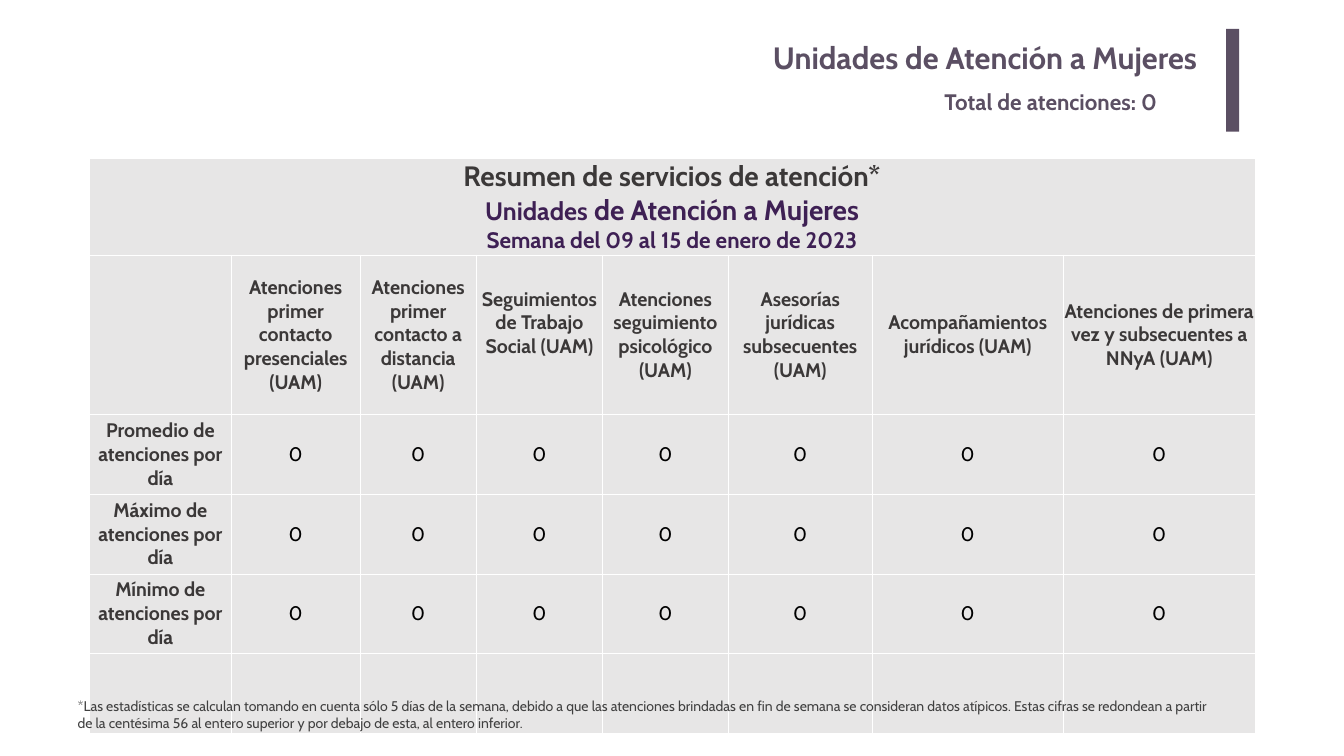
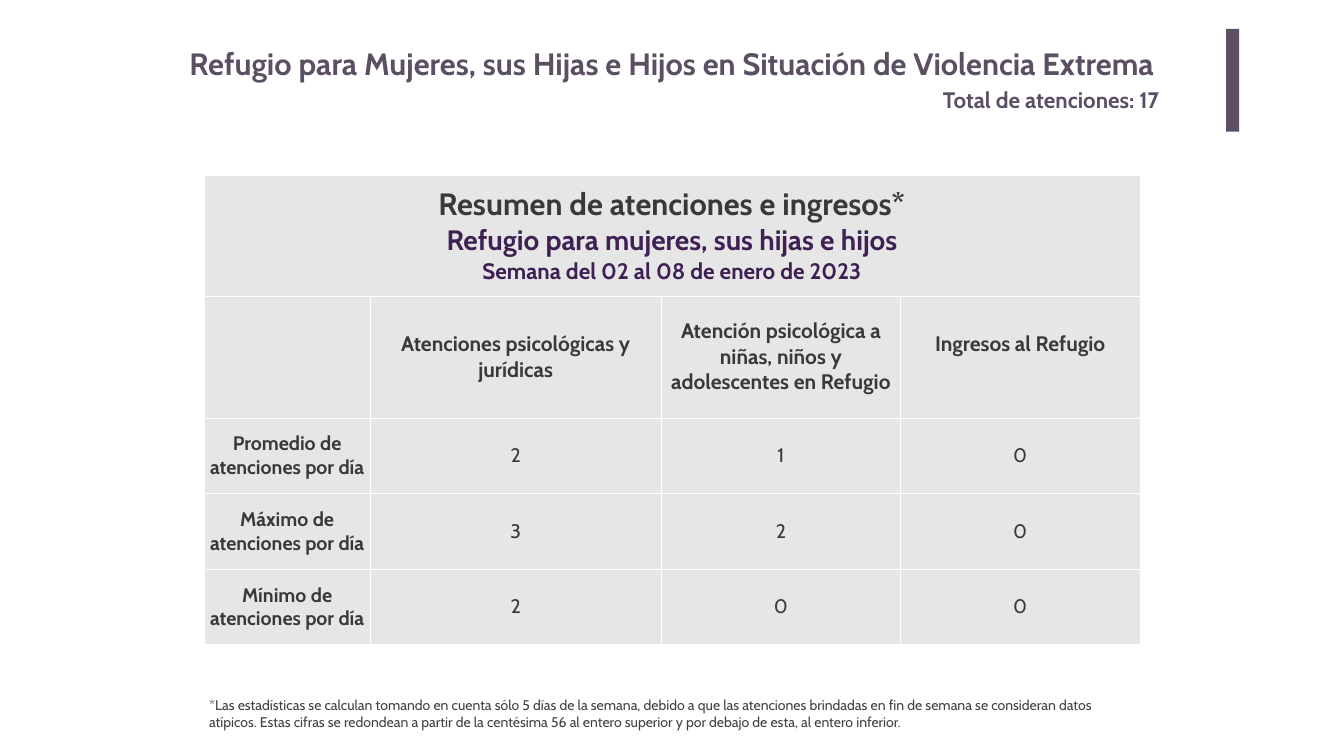
from dataclasses import dataclass
from typing import Any, NamedTuple

from lxml.etree import SubElement
from pptx import Presentation
from pptx.dml.color import RGBColor
from pptx.enum.shapes import MSO_SHAPE as Shape
from pptx.enum.text import MSO_ANCHOR as Anchor, MSO_AUTO_SIZE as AutoSize, PP_ALIGN as Align
from pptx.oxml.ns import qn
from pptx.util import Cm, Pt

FONT = "Cabin"
PLUM, VIOLET, DARK, GREY = "5B4F63", "3E2054", "3B3838", "404040"
BLACK, WHITE, CELL = "000000", "FFFFFF", "E7E6E6"
NOTE = (
    "*Las estadísticas se calculan tomando en cuenta sólo 5 días de la semana, debido a que "
    "las atenciones brindadas en fin de semana se consideran datos atípicos. Estas cifras se "
    "redondean a partir de la centésima 56 al entero superior y por debajo de esta, al entero "
    "inferior."
)
MEASURES = ("Promedio", "Máximo", "Mínimo")
ROW_LABEL = "{} de atenciones por día"


class Box(NamedTuple):
    """Left, top, width and height in centimetres."""

    left: float
    top: float
    width: float
    height: float

    def lengths(self) -> list[Cm]:
        """Return the four values as lengths."""
        return [Cm(v) for v in self]


class Run(NamedTuple):
    """A piece of text with its size in points, colour and weight."""

    text: str
    size: float
    color: str
    bold: bool = True


class Header(NamedTuple):
    """A column heading, its width and the free space kept below it."""

    text: str
    width: float
    below: float = 0


@dataclass
class Text:
    """A text box with one run."""

    box: Box
    run: Run
    align: Align = Align.LEFT
    margins: tuple[float, float] = (0.25, 0.13)
    grow: bool = True


@dataclass
class Summary:
    """A summary table of daily figures."""

    left: float
    top: float
    heading: list[list[Run]]
    headers: list[Header]
    heights: list[float]
    values: list[list[int]]
    header_size: float
    value_color: str
    label_width: float


@dataclass
class Page:
    """The content of one slide."""

    title: Text
    total: Text
    summary: Summary
    note_box: Box


PAGES = [
    Page(
        title=Text(Box(9.3, 1.7, 51.56, 2.59), Run("Unidades de Atención a Mujeres", 44, PLUM),
                   Align.RIGHT, (0.51, 0.25), False),
        total=Text(Box(47.35, 4.29, 13.67, 1.63), Run("Total de atenciones: 0", 32, PLUM)),
        summary=Summary(
            left=4.5,
            top=8,
            heading=[
                [Run("Resumen de servicios de atención*", 40, DARK)],
                [Run("Unidades", 36, VIOLET), Run(" de Atención a Mujeres", 40, VIOLET)],
                [Run("Semana del 09 al 15 de enero de 2023", 32, VIOLET)],
            ],
            headers=[
                Header("Atenciones primer contacto presenciales (UAM)", 6.48),
                Header("Atenciones primer contacto a distancia (UAM)", 5.87),
                Header("Seguimientos de Trabajo Social (UAM)", 6.35, 1.2),
                Header("Atenciones seguimiento psicológico (UAM)", 6.35),
                Header("Asesorías jurídicas subsecuentes (UAM)", 7.24),
                Header("Acompañamientos jurídicos (UAM)", 9.65),
                Header("Atenciones de primera vez y subsecuentes a NNyA (UAM)", 9.65),
            ],
            heights=[4.85, 8.05] + [4.01] * 4,
            values=[[0] * 7 for _ in MEASURES],
            header_size=28,
            value_color=BLACK,
            label_width=7.16,
        ),
        note_box=Box(3.66, 35.03, 57.84, 1.96),
    ),
    Page(
        title=Text(Box(9.3, 2.13, 52.65, 2.13),
                   Run("Refugio para Mujeres, sus Hijas e Hijos en Situación de Violencia Extrema",
                       44, PLUM)),
        total=Text(Box(47.27, 4.19, 13.59, 1.63), Run("Total de atenciones: 17", 32, PLUM)),
        summary=Summary(
            left=10.29,
            top=8.87 - 0.06,
            heading=[
                [Run("Resumen de atenciones e ingresos*", 44, DARK)],
                [Run("Refugio para mujeres, sus hijas e hijos", 40, VIOLET)],
                [Run("Semana del 02 al 08 de enero de 2023", 32, VIOLET)],
            ],
            headers=[
                Header("Atenciones psicológicas y jurídicas", 14.68),
                Header("Atención psicológica a niñas, niños y adolescentes en Refugio", 12.06),
                Header("Ingresos al Refugio", 12.06, 1.3),
            ],
            heights=[6.1, 6.15] + [3.81] * 3,
            values=[[2, 1, 0], [3, 2, 0], [2, 0, 0]],
            header_size=30,
            value_color=DARK,
            label_width=8.36,
        ),
        note_box=Box(10.29, 34.98, 47.14, 1.96),
    ),
]


def rgb(color: str) -> RGBColor:
    """Turn a hex string into a colour."""
    return RGBColor.from_string(color)


def apply(target: Any, values: dict[str, Any]) -> None:
    """Set each named attribute on the target."""
    for name, value in values.items():
        setattr(target, name, value)


def write(p: Any, runs: list[Run], align: Align) -> None:
    """Fill a paragraph with formatted runs."""
    p.alignment = align
    for item in runs:
        r = p.add_run()
        r.text = item.text
        apply(r.font, {"name": FONT, "size": Pt(item.size), "bold": item.bold})
        r.font.color.rgb = rgb(item.color)


def add_text(s: Any, text: Text) -> None:
    """Add a text box."""
    tf = s.shapes.add_textbox(*text.box.lengths()).text_frame
    across, down = (Cm(v) for v in text.margins)
    apply(tf, {
        "word_wrap": True,
        "auto_size": AutoSize.SHAPE_TO_FIT_TEXT if text.grow else AutoSize.NONE,
        "margin_left": across, "margin_right": across,
        "margin_top": down, "margin_bottom": down,
    })
    write(tf.paragraphs[0], [text.run], text.align)


def add_bar(s: Any) -> None:
    """Add the vertical bar beside the title."""
    sp = s.shapes.add_shape(Shape.RECTANGLE, *Box(61.8, 1.45, 0.66, 5.18).lengths())
    sp.shadow.inherit = False
    sp.fill.solid()
    sp.fill.fore_color.rgb = rgb(PLUM)
    sp.line.fill.background()


def style_cell(cell: Any) -> None:
    """Give a cell its margins, white borders and grey fill."""
    apply(cell, {"vertical_anchor": Anchor.MIDDLE, "margin_left": 0, "margin_right": 0,
                 "margin_top": 0, "margin_bottom": 0})
    props = cell._tc.get_or_add_tcPr()
    for side in ("lnL", "lnR", "lnT", "lnB"):
        line = SubElement(props, qn(f"a:{side}"), w=str(Pt(1)))
        SubElement(SubElement(line, qn("a:solidFill")), qn("a:srgbClr"), val=WHITE)
    cell.fill.solid()
    cell.fill.fore_color.rgb = rgb(CELL)


def fill_cell(cell: Any, lines: list[list[Run]]) -> None:
    """Write centred lines in a cell."""
    tf = cell.text_frame
    for i, runs in enumerate(lines):
        write(tf.add_paragraph() if i else tf.paragraphs[0], runs, Align.CENTER)


def add_summary(s: Any, data: Summary) -> None:
    """Add the table of daily figures."""
    widths = [data.label_width] + [h.width for h in data.headers]
    box = Box(data.left, data.top, sum(widths), sum(data.heights))
    table = s.shapes.add_table(len(data.heights), len(widths), *box.lengths()).table
    apply(table, {"first_row": False, "horz_banding": False})
    for column, width in zip(table.columns, widths):
        column.width = Cm(width)
    for row, height in zip(table.rows, data.heights):
        row.height = Cm(height)
    for cell in table.iter_cells():
        style_cell(cell)

    table.cell(0, 0).merge(table.cell(0, len(widths) - 1))
    fill_cell(table.cell(0, 0), data.heading)
    for c, header in enumerate(data.headers, 1):
        cell = table.cell(1, c)
        fill_cell(cell, [[Run(header.text, data.header_size, DARK)]])
        cell.margin_bottom = Cm(header.below)
    for r, (measure, values) in enumerate(zip(MEASURES, data.values), 2):
        fill_cell(table.cell(r, 0), [[Run(ROW_LABEL.format(measure), 28, DARK)]])
        for c, value in enumerate(values, 1):
            fill_cell(table.cell(r, c), [[Run(str(value), 28, data.value_color, False)]])


def main() -> None:
    """Build and save the presentation."""
    prs = Presentation()
    apply(prs, {"slide_width": Cm(67.74), "slide_height": Cm(38.1)})
    for page in PAGES:
        s = prs.slides.add_slide(prs.slide_layouts[6])
        add_summary(s, page.summary)
        add_bar(s)
        for text in (page.title, page.total, Text(page.note_box, Run(NOTE, 20, GREY, False))):
            add_text(s, text)
    prs.save("out.pptx")


if __name__ == "__main__":
    main()
